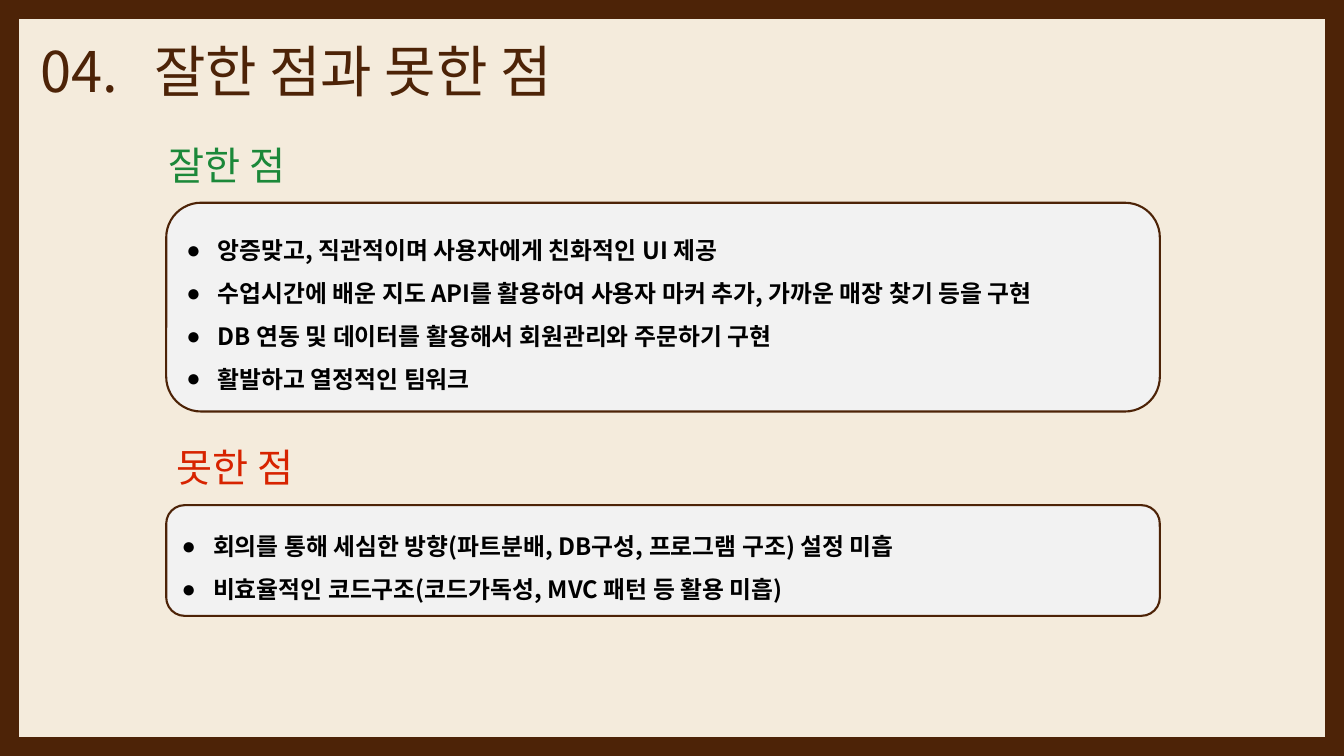
from dataclasses import dataclass

from lxml import etree
from pptx import Presentation
from pptx.dml.color import RGBColor
from pptx.enum.shapes import MSO_SHAPE
from pptx.enum.text import MSO_ANCHOR, MSO_AUTO_SIZE, PP_ALIGN
from pptx.oxml.ns import qn
from pptx.util import Cm, Pt

RECT, ROUND_RECT = MSO_SHAPE.RECTANGLE, MSO_SHAPE.ROUNDED_RECTANGLE
MIDDLE, LEFT, NO_FIT = MSO_ANCHOR.MIDDLE, PP_ALIGN.LEFT, MSO_AUTO_SIZE.NONE


@dataclass(frozen=True)
class Theme:
    font: str = "Noto Sans CJK KR"
    paper: RGBColor = RGBColor(0xF4, 0xEB, 0xDC)
    brown: RGBColor = RGBColor(0x4D, 0x23, 0x07)
    card: RGBColor = RGBColor(0xF2, 0xF2, 0xF2)
    ink: RGBColor = RGBColor(0, 0, 0)
    green: RGBColor = RGBColor(0x1B, 0x88, 0x39)
    red: RGBColor = RGBColor(0xD7, 0x23, 0x00)
    title: Pt = Pt(40)
    heading: Pt = Pt(28)
    body: Pt = Pt(17)


T = Theme()


def add_box(kind, left, top, width, height, fill, line_width):
    sp = slide.shapes.add_shape(kind, Cm(left), Cm(top), Cm(width), Cm(height))
    sp.shadow.inherit = False
    sp.fill.solid()
    sp.fill.fore_color.rgb = fill
    sp.line.color.rgb = T.brown
    sp.line.width = Pt(line_width)
    return sp


def fill_text(sp, box, lines, size, color, bold=False):
    sp.left, sp.top, sp.width, sp.height = (Cm(v) for v in box)
    tf = sp.text_frame
    tf.text = "\n".join(lines)
    tf.word_wrap = True
    tf.auto_size = NO_FIT
    tf.vertical_anchor = MIDDLE
    for p in tf.paragraphs:
        p.alignment = LEFT
        p.line_spacing = 1.0
        p.space_before = Pt(0)
        p.font.size = size
        p.font.bold = bold
        p.font.color.rgb = color
        p.font.name = T.font
        props = p._p.pPr.find(qn("a:defRPr"))
        etree.SubElement(props, qn("a:ea"), typeface=T.font)
    return tf.paragraphs


# Slide on the comparison layout
W, H = 33.87, 19.05
prs = Presentation()
prs.slide_width, prs.slide_height = Cm(W), Cm(H)
slide = prs.slides.add_slide(prs.slide_layouts[4])
slide.background.fill.solid()
slide.background.fill.fore_color.rgb = T.paper

# Frame
BAR = 0.46
for bar in ((0, 0, W, BAR), (0, H - BAR, W, BAR), (0, 0, BAR, H), (W - BAR, 0, BAR, H)):
    add_box(RECT, *bar, T.brown, 1)

# Title, with a tab stop after the number
title, = fill_text(slide.shapes.title, (0.76, 0.79, 23.42, 1.96),
                   ["04.\t잘한 점과 못한 점"], T.title, T.brown)
tabs = etree.Element(qn("a:tabLst"))
etree.SubElement(tabs, qn("a:tab"), pos=str(Cm(2.87)), algn="l")
title._p.pPr.find(qn("a:defRPr")).addprevious(tabs)

# Sections: heading, colour, heading left and top, card top and height, points
CARD_LEFT, CARD_WIDTH, INDENT = 4.19, 25.04, Cm(0.79)
sections = [
    ("잘한 점", T.green, 3.99, 3.43, 5.11, 5.26, [
        "앙증맞고, 직관적이며 사용자에게 친화적인 UI 제공",
        "수업시간에 배운 지도 API를 활용하여 사용자 마커 추가, 가까운 매장 찾기 등을 구현",
        "DB 연동 및 데이터를 활용해서 회원관리와 주문하기 구현",
        "활발하고 열정적인 팀워크"]),
    ("못한 점", T.red, 4.19, 11.05, 12.73, 2.79, [
        "회의를 통해 세심한 방향(파트분배, DB구성, 프로그램 구조) 설정 미흡",
        "비효율적인 코드구조(코드가독성, MVC 패턴 등 활용 미흡)"]),
]
holders = {sp.placeholder_format.idx: sp for sp in slide.placeholders}
for i, (heading, color, left, top, card_top, height, points) in enumerate(sections):
    # Heading without a bullet
    p, = fill_text(holders[2 * i + 1], (left, top, 16.97, 1.45), [heading], T.heading, color)

    # Card behind the list
    card = add_box(ROUND_RECT, CARD_LEFT, card_top, CARD_WIDTH, height, T.card, 1.5)
    slide.shapes._spTree.insert(2, card._element)

    # List kept clear of the round corners
    inset = height / 6 * 0.29
    box = (CARD_LEFT + inset, card_top, CARD_WIDTH - 2 * inset, height)
    for p in fill_text(holders[2 * i + 2], box, points, T.body, T.ink, True):
        p.line_spacing = 1.5
        pPr = p._p.pPr
        pPr.set("marL", str(INDENT))
        pPr.set("indent", str(-INDENT))
        bullet = etree.Element(qn("a:buChar"), char="●")
        pPr.find(qn("a:defRPr")).addprevious(bullet)

prs.save("out.pptx")
